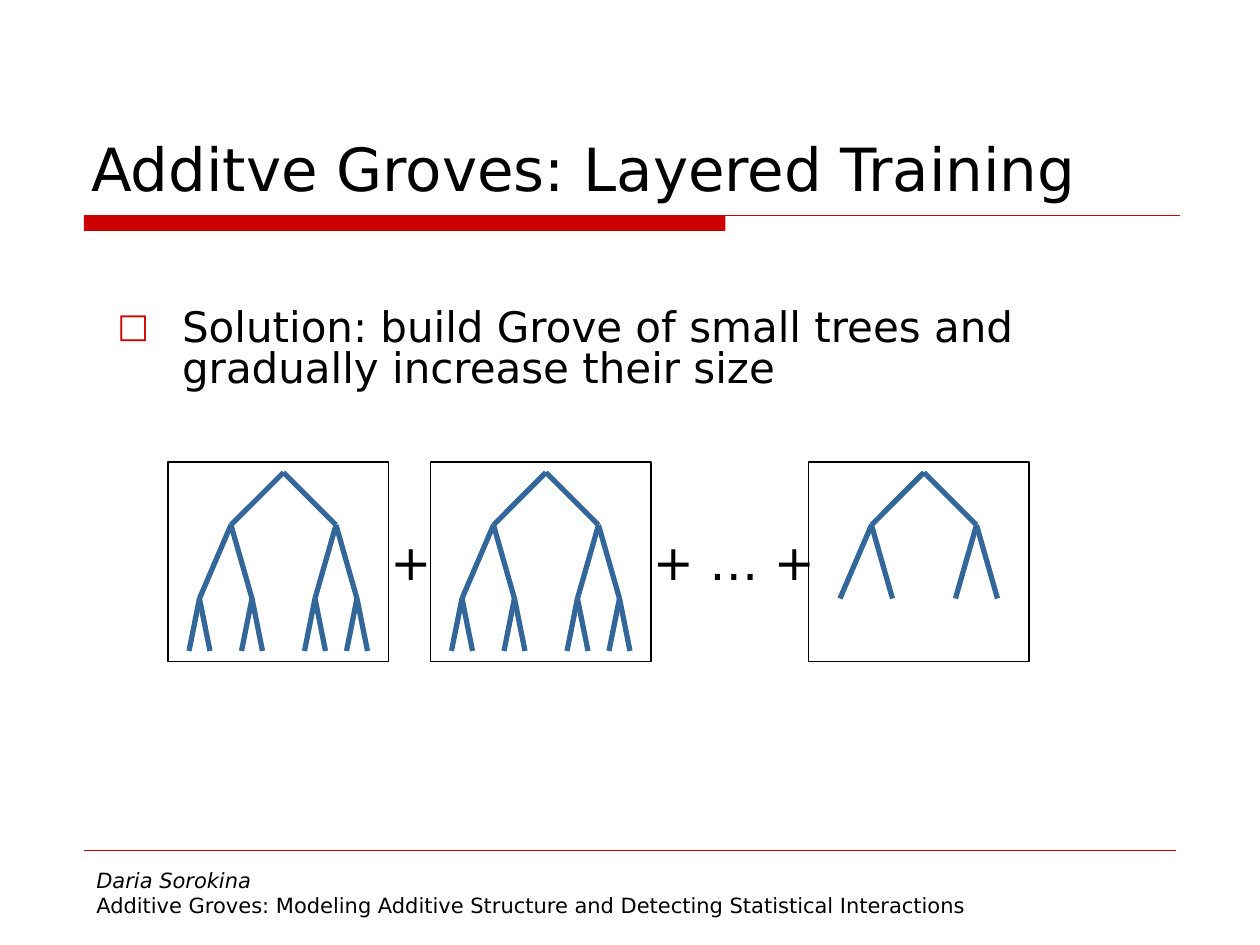
import pptx
import pptx.dml.color
import pptx.enum.shapes
import pptx.enum.text
import pptx.oxml
import pptx.oxml.ns
import pptx.util
from lxml import etree

Pt = pptx.util.Pt
COLORS = {"text": "000000", "accent": "CC0000", "branch": "336699"}
FONT = "DejaVu Sans"


class SlideBuilder:
    """Holds the style and the current page; lengths are in points."""

    def __init__(self, page):
        self.page = page

    def color(self, name):
        return pptx.dml.color.RGBColor.from_string(COLORS[name])

    def style(self, para, size, italic=False):
        para.alignment = pptx.enum.text.PP_ALIGN.LEFT
        para.font.name = FONT
        para.font.size = Pt(size)
        para.font.italic = italic
        para.font.color.rgb = self.color("text")

    def title(self, text, left, top, width, height, size):
        box = self.page.shapes.title
        box.left, box.top, box.width, box.height = map(Pt, (left, top, width, height))
        frame = box.text_frame
        frame.text = text
        frame.auto_size = pptx.enum.text.MSO_AUTO_SIZE.NONE
        frame.vertical_anchor = pptx.enum.text.MSO_ANCHOR.BOTTOM
        self.style(frame.paragraphs[0], size)

    def text(self, lines, left, top, width, height, size):
        """Each line is a pair: wording and whether it is italic."""
        box = self.page.shapes.add_textbox(*map(Pt, (left, top, width, height)))
        frame = box.text_frame
        frame.word_wrap = True
        for index, (wording, italic) in enumerate(lines):
            para = frame.add_paragraph() if index else frame.paragraphs[0]
            para.text = wording
            self.style(para, size, italic)
        return frame

    def bullet(self, text, left, top, width, height, size, indent):
        frame = self.text([(text, False)], left, top, width, height, size)
        para = frame.paragraphs[0]
        props = para._p.get_or_add_pPr()
        props.set("marL", str(Pt(indent)))
        props.set("indent", str(-Pt(indent)))
        qn = pptx.oxml.ns.qn
        bullet_color = etree.Element(qn("a:buClr"))
        etree.SubElement(bullet_color, qn("a:srgbClr"), val=COLORS["accent"])
        marks = [
            bullet_color,
            etree.Element(qn("a:buSzPct"), val="80000"),
            etree.Element(qn("a:buFont"), typeface=FONT),
            etree.Element(qn("a:buChar"), char="□"),
        ]
        for position, mark in enumerate(marks):
            props.insert(position, mark)
        para.line_spacing = 0.8
        self.style(para, size)

    def line(self, start, end, color, weight):
        connector = self.page.shapes.add_connector(
            pptx.enum.shapes.MSO_CONNECTOR.STRAIGHT, *map(Pt, (*start, *end)))
        connector.line.color.rgb = self.color(color)
        connector.line.width = Pt(weight)
        etree.SubElement(connector._element.spPr, pptx.oxml.ns.qn("a:effectLst"))

    def rectangle(self, left, top, width, height, fill=None, outline=None):
        shape = self.page.shapes.add_shape(
            pptx.enum.shapes.MSO_SHAPE.RECTANGLE, *map(Pt, (left, top, width, height)))
        shape.shadow.inherit = False
        if fill:
            shape.fill.solid()
            shape.fill.fore_color.rgb = self.color(fill)
        else:
            shape.fill.background()
        if outline:
            shape.line.color.rgb = self.color(outline)
            shape.line.width = Pt(0.75)
        else:
            shape.line.fill.background()

    def tree(self, x, y, has_leaves):
        """Draw a binary tree with its root at (x, y)."""
        def branch(start, end):
            self.line(start, end, "branch", 3)

        for child, grandchildren in ((-30, (-48, -18)), (30, (18, 42))):
            node = (x + child, y + 30)
            branch((x, y), node)
            for offset in grandchildren:
                twig = (x + offset, y + 72)
                branch(node, twig)
                if has_leaves:
                    for spread in (-6, 6):
                        branch(twig, (twig[0] + spread, y + 102))


def main():
    deck = pptx.Presentation()
    deck.slide_width, deck.slide_height = Pt(720), Pt(540)
    page = deck.slides.add_slide(deck.slide_layouts[5])
    builder = SlideBuilder(page)

    # Title and its rule
    builder.rectangle(48, 123, 366.5, 9, fill="accent")
    builder.line((48, 123), (674.5, 123), "accent", 0.75)
    builder.title("Additve Groves: Layered Training", 45, 24, 630, 96, 34)

    # Footer
    builder.line((48, 486), (672, 486), "accent", 0.25)
    builder.text([
        ("Daria Sorokina", True),
        ("Additive Groves: Modeling Additive Structure and "
         "Detecting Statistical Interactions", False),
    ], 48, 492, 576, 37.5, 12)

    # Statement
    builder.bullet("Solution: build Grove of small trees and gradually increase their size",
                   60, 174, 618, 96, 24, 37)

    # Sum of framed trees
    for left, has_leaves in ((96, True), (246, True), (462, False)):
        builder.tree(left + 66, 270, has_leaves)
        builder.rectangle(left, 264, 126, 114, outline="text")
    for sign, left, width in (("+", 216, 42), ("+ … +", 366, 114)):
        builder.text([(sign, False)], left, 300, width, 41, 28)

    deck.save("out.pptx")


if __name__ == "__main__":
    main()
